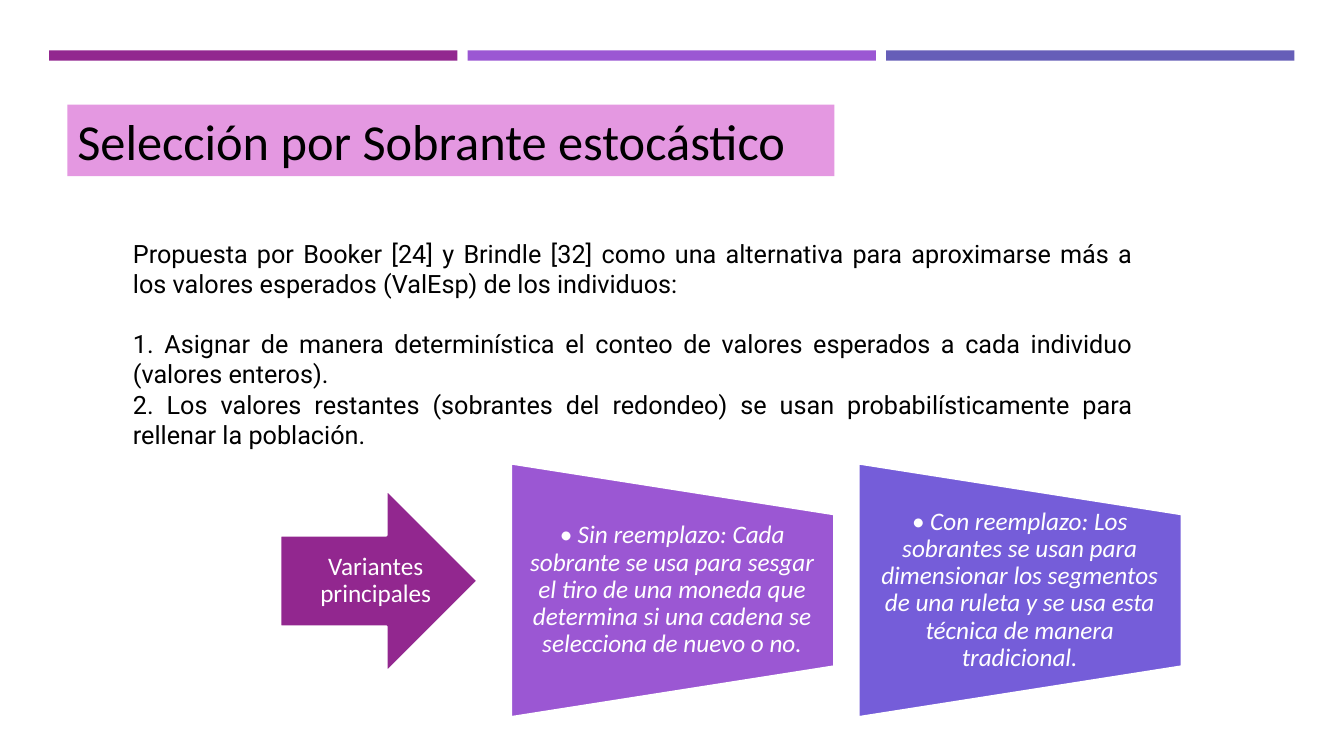
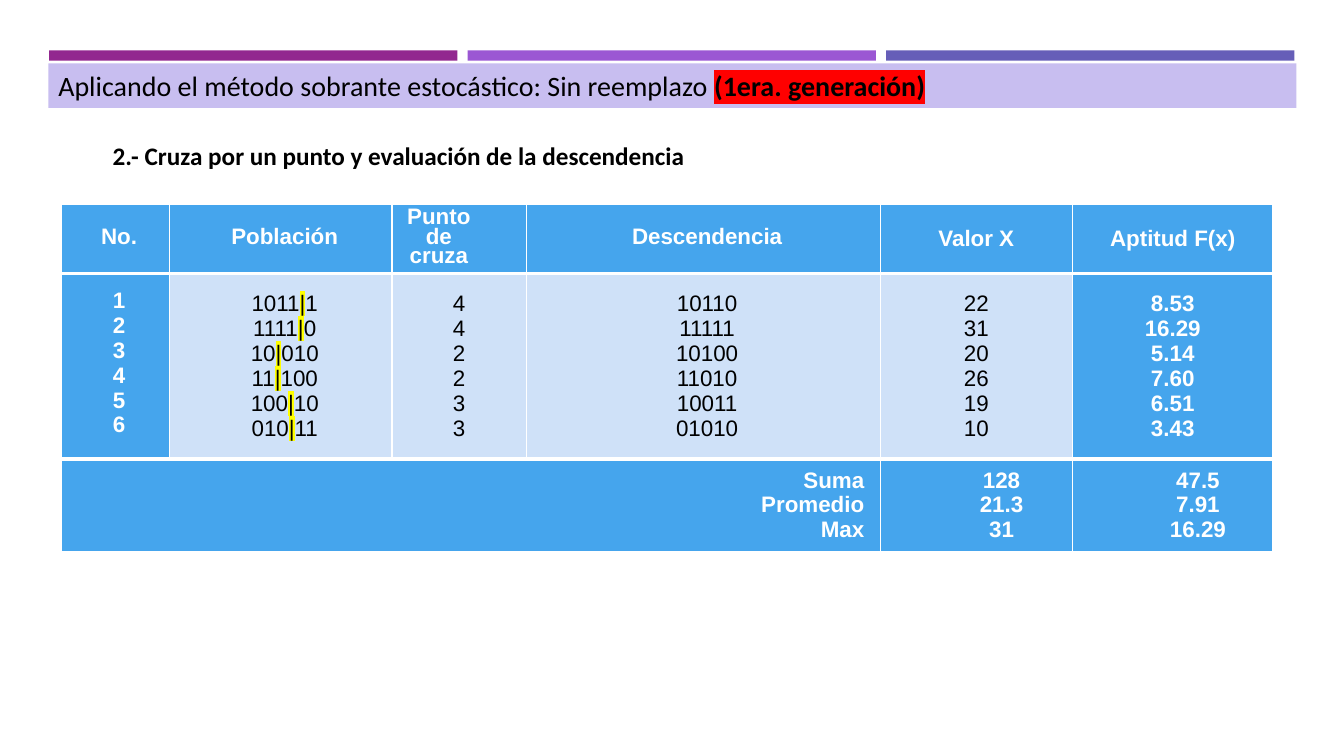
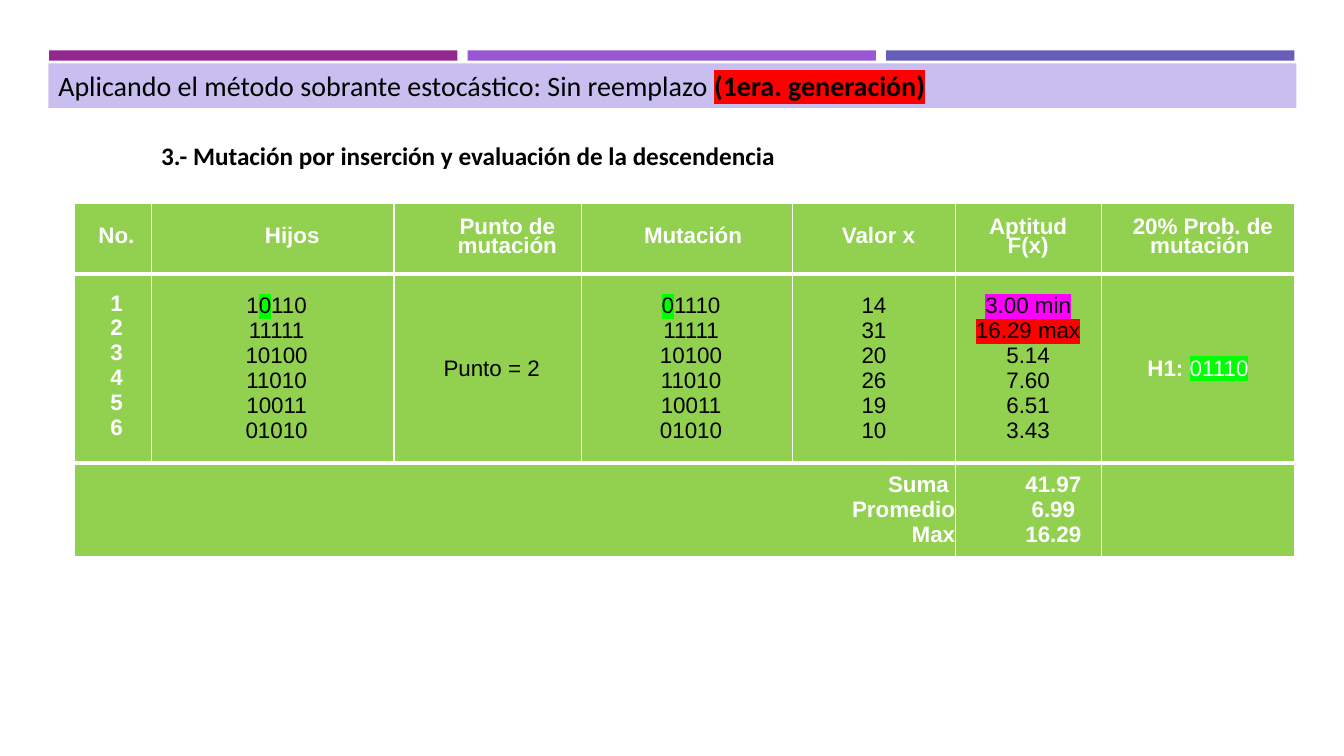
from dataclasses import dataclass

from lxml.etree import SubElement
from pptx import Presentation
from pptx.dml.color import RGBColor
from pptx.enum.shapes import MSO_SHAPE as Preset
from pptx.enum.text import MSO_ANCHOR as Anchor, PP_ALIGN as Align
from pptx.oxml.ns import qn
from pptx.util import Cm, Pt


@dataclass(frozen=True)
class Theme:
    """Colours, fonts and type sizes of the deck."""
    plum: str = "92278F"
    purple: str = "9B57D3"
    indigo: str = "665EB8"
    violet: str = "755DD9"
    pink: str = "E498E1"
    lilac: str = "C8BEF0"
    blue: str = "45A5ED"
    pale_blue: str = "CFE1F8"
    green: str = "92D050"
    black: str = "000000"
    white: str = "FFFFFF"
    yellow: str = "FFFF00"
    red: str = "FF0000"
    lime: str = "00FF00"
    magenta: str = "FF00FF"
    heading_font: str = "Calibri"
    body_font: str = "Roboto"
    table_font: str = "Arial"
    title_size: int = 36
    banner_size: int = 20
    text_size: int = 18
    table_size: int = 16


@dataclass
class Entry:
    """Content and layout of one table cell; pitch is for its first line."""
    lines: list
    indent: float = 0
    bold: bool = True
    pitch: float = None
    inset: float = 0
    align: int = Align.CENTER


theme = Theme()


def add_block(page, preset, place, fill=None, outline=None):
    """Add a shape, or a text box when preset is None; place is in cm."""
    place = [Cm(length) for length in place]
    if preset is None:
        block = page.shapes.add_textbox(*place)
    else:
        block = page.shapes.add_shape(preset, *place)
        block.shadow.inherit = False
        block.fill.solid()
        block.fill.fore_color.rgb = RGBColor.from_string(fill)
        if outline:
            block.line.color.rgb = RGBColor.from_string(outline)
            block.line.width = Pt(1.75)
        else:
            block.line.fill.background()
    block.text_frame.word_wrap = True
    block.text_frame.vertical_anchor = Anchor.TOP
    return block


def write(frame, lines, size, font=theme.heading_font, color=theme.black,
          bold=False, italic=False, align=Align.LEFT, indent=0):
    """Write lines of runs; a run is text or (text, highlight, bold)."""
    for number, line in enumerate(lines):
        para = frame.paragraphs[0] if number == 0 else frame.add_paragraph()
        para.alignment = align
        if indent:
            para._p.get_or_add_pPr().set("marL", str(Cm(indent)))
        for run in [line] if isinstance(line, str) else line:
            text, highlight, weight = (run, None, bold) if isinstance(run, str) else run
            span = para.add_run()
            span.text = text
            span.font.size = Pt(size)
            span.font.name = font
            span.font.bold = weight
            span.font.italic = italic
            span.font.color.rgb = RGBColor.from_string(color)
            if highlight:
                marks = span._r.get_or_add_rPr()
                mark = SubElement(marks, qn("a:highlight"))
                SubElement(mark, qn("a:srgbClr"), val=highlight)
                marks.find(qn("a:solidFill")).addnext(mark)


deck = Presentation()
deck.slide_width, deck.slide_height = Cm(33.87), Cm(19.05)
pages = [deck.slides.add_slide(deck.slide_layouts[6]) for _ in range(3)]

# Three bars at the top of every slide
for page in pages:
    for number, color in enumerate((theme.plum, theme.purple, theme.indigo)):
        add_block(page, Preset.RECTANGLE, (1.24 + 10.545 * number, 1.27, 10.29, 0.26), color)

# Slide 1: method and its variants
page = pages[0]
title = add_block(page, Preset.RECTANGLE, (1.7, 2.64, 19.33, 1.8), theme.pink)
write(title.text_frame, ["Selección por Sobrante estocástico"], theme.title_size)

body = add_block(page, None, (3.1, 5.87, 25.7, 5.64))
write(body.text_frame, [
    "Propuesta por Booker [24] y Brindle [32] como una alternativa para aproximarse "
    "más a los valores esperados (ValEsp) de los individuos:",
    "1. Asignar de manera determinística el conteo de valores esperados a cada "
    "individuo (valores enteros).",
    "2. Los valores restantes (sobrantes del redondeo) se usan probabilísticamente "
    "para rellenar la población.",
], theme.text_size, theme.body_font, align=Align.JUSTIFY)
body.text_frame.paragraphs[1].space_before = Pt(21.5)

add_block(page, Preset.RIGHT_ARROW, (7.06, 12.34, 4.98, 4.6), theme.plum, theme.white)
variants = [
    ("Variantes principales", (7.44, 13.49, 4.06, 2.31), (0, 0.51, 0, 0.51), False),
]
choices = [
    (theme.purple, "• Sin reemplazo: Cada sobrante se usa para sesgar el tiro de una "
                   "moneda que determina si una cadena se selecciona de nuevo o no."),
    (theme.violet, "• Con reemplazo: Los sobrantes se usan para dimensionar los segmentos "
                   "de una ruleta y se usa esta técnica de manera tradicional."),
]
for number, (color, text) in enumerate(choices):
    left = 12.88 + 8.76 * number
    panel = add_block(page, Preset.FLOWCHART_MANUAL_OPERATION,
                      (left + 0.87, 10.8, 6.4, 8.15), color, theme.white)
    panel.rotation = 270
    variants.append((text, (left, 12.95, 8.15, 3.84), (0.3, 0, 0.33, 0), True))
for text, place, insets, italic in variants:
    frame = add_block(page, None, place).text_frame
    frame.vertical_anchor = Anchor.MIDDLE
    (frame.margin_left, frame.margin_top,
     frame.margin_right, frame.margin_bottom) = [Cm(inset) for inset in insets]
    write(frame, [text], theme.text_size, color=theme.white, italic=italic, align=Align.CENTER)
    frame.paragraphs[0].line_spacing = 0.9

# Slides 2 and 3: one table each
points = [4, 4, 2, 2, 3, 3]
parents = ["10111", "11110", "10010", "11100", "10010", "01011"]
children = ["10110", "11111", "10100", "11010", "10011", "01010"]
numbers = list("123456")

crossing = [
    [Entry(["No."], 0.18, pitch=13.8),
     Entry(["Población"], 0.2, pitch=13.8),
     Entry(["Punto de cruza"], 0.2, pitch=13.8, inset=1.22),
     Entry(["Descendencia"], 0.2, pitch=13.8),
     Entry(["Valor X"]),
     Entry(["Aptitud F(x)"])],
    [Entry(numbers, 0.18, pitch=13.3),
     Entry([[bits[:point], ("|", theme.yellow, False), bits[point:]]
            for bits, point in zip(parents, points)], 0.2, False),
     Entry([str(point) for point in points], bold=False),
     Entry(children, 0.2, False),
     Entry(["22", "31", "20", "26", "19", "10"], bold=False),
     Entry(["8.53", "16.29", "5.14", "7.60", "6.51", "3.43"])],
    [Entry(["Suma", "Promedio", "Max"], inset=0.4, align=Align.RIGHT),
     Entry(["128", "21.3", "31"], 1.27),
     Entry(["47.5", "7.91", "16.29"], 1.27)],
]
mutation = [
    [Entry(["No."], 0.18, pitch=13.8),
     Entry(["Hijos"], 0.99, pitch=13.8),
     Entry(["Punto de mutación"], 0.99, pitch=13.8),
     Entry(["Mutación"], 0.3, pitch=13.7),
     Entry(["Valor x"], 0.23, pitch=13.8),
     Entry(["Aptitud F(x)"], 0.55, pitch=13.7, inset=0.55),
     Entry(["20% Prob. de mutación "], 0.25, pitch=13.8)],
    [Entry(numbers, 0.18, pitch=13.5),
     Entry([["1", ("0", theme.lime, False), "110"]] + children[1:], 0.2, False),
     Entry(["Punto = 2"], 0.2, False),
     Entry([[("0", theme.lime, False), "1110"]] + children[1:], 0.2, False),
     Entry(["14", "31", "20", "26", "19", "10"], bold=False),
     Entry([[("3.00 min", theme.magenta, False)], [("16.29 max", theme.red, False)],
            "5.14", "7.60", "6.51", "3.43"], bold=False),
     Entry([["H1: ", ("01110", theme.lime, False)]])],
    [Entry(["Suma ", "Promedio", "Max"], align=Align.RIGHT),
     Entry(["41.97", "6.99", "16.29"], 1.27),
     Entry([])],
]
sheets = [
    ("2.- Cruza por un punto y evaluación de la descendencia", 18.62, (1.55, 5.16),
     [2.72, 5.61, 3.38, 8.92, 4.85, 5.05], [1.73, 4.67, 2.34],
     theme.blue, theme.pale_blue, crossing),
    ("3.- Mutación por inserción y evaluación de la descendencia", 22.12, (1.88, 5.13),
     [1.93, 6.12, 4.72, 5.33, 4.09, 3.68, 4.88], [1.78, 4.75, 2.36],
     theme.green, theme.green, mutation),
]
for page, sheet in zip(pages[1:], sheets):
    heading, heading_width, corner, widths, heights, strong, soft, rows = sheet
    box = add_block(page, None, (0.74, 3.4, heading_width, 1.02))
    write(box.text_frame, [heading], theme.text_size, bold=True, align=Align.CENTER)

    place = [Cm(length) for length in (*corner, sum(widths), sum(heights))]
    table = page.shapes.add_table(len(heights), len(widths), *place).table
    for column, width in zip(table.columns, widths):
        column.width = Cm(width)
    for row, height in zip(table.rows, heights):
        row.height = Cm(height)
    merged = len(widths) - 2
    table.cell(2, 0).merge(table.cell(2, merged - 1))

    for r, entries in enumerate(rows):
        for c, entry in enumerate(entries):
            cell = table.cell(r, c if r < 2 or c == 0 else c + merged - 1)
            cell.margin_left = cell.margin_top = cell.margin_bottom = 0
            cell.margin_right = Cm(entry.inset)
            cell.vertical_anchor = Anchor.MIDDLE
            write(cell.text_frame, entry.lines, theme.table_size, theme.table_font,
                  theme.white if entry.bold else theme.black, entry.bold,
                  align=entry.align, indent=entry.indent)
            if entry.pitch:
                cell.text_frame.paragraphs[0].line_spacing = Pt(entry.pitch)
            borders = {"L": 1, "R": 1, "T": 3 if r else 1, "B": 3 if r < 2 else 1}
            for side, points_wide in borders.items():
                border = SubElement(cell._tc.get_or_add_tcPr(), qn(f"a:ln{side}"),
                                    w=str(Pt(points_wide)))
                SubElement(SubElement(border, qn("a:solidFill")), qn("a:srgbClr"),
                           val=theme.white)
            cell.fill.solid()
            cell.fill.fore_color.rgb = RGBColor.from_string(strong if entry.bold else soft)

    banner = add_block(page, Preset.RECTANGLE, (1.22, 1.6, 31.45, 1.12), theme.lilac)
    write(banner.text_frame, [["Aplicando el método sobrante estocástico: Sin reemplazo ",
                               ("(1era. generación)", theme.red, True)]], theme.banner_size)

deck.save("out.pptx")
